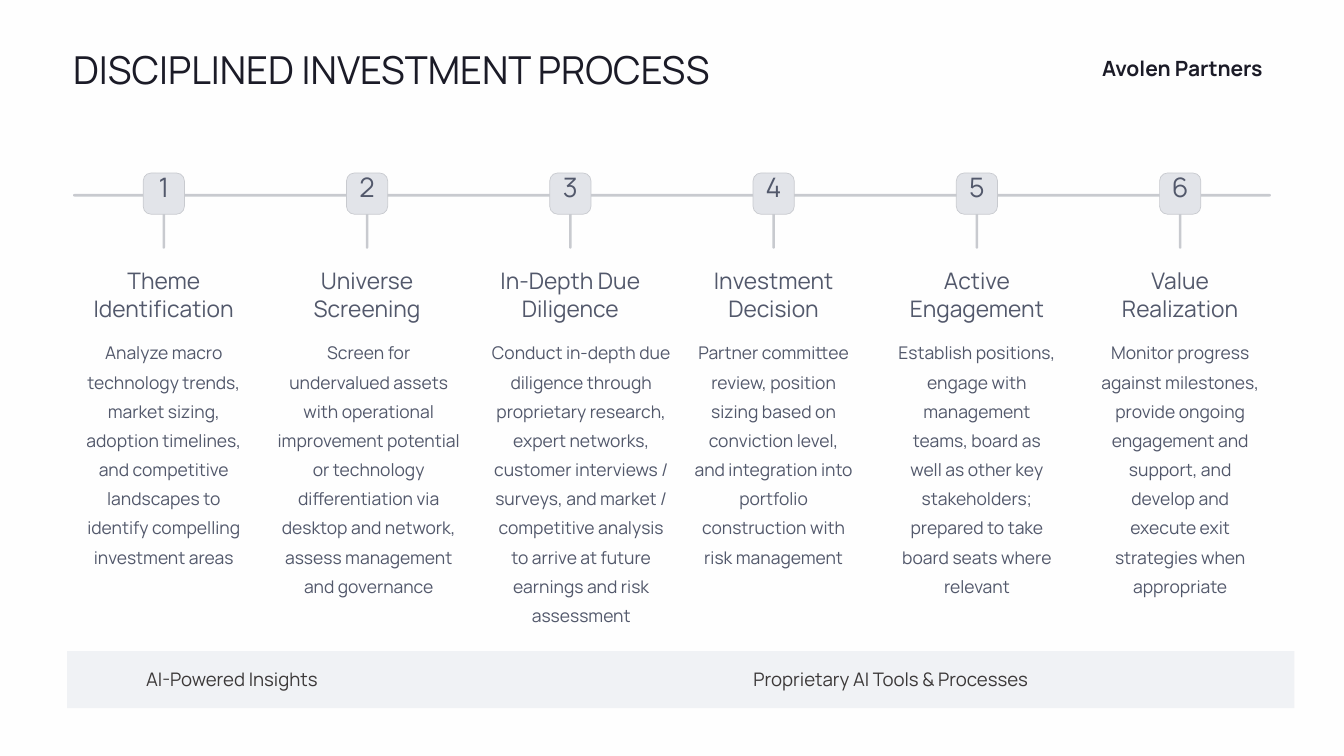
"""Builds the six-step investment process slide."""
import pptx
import pptx.dml.color
import pptx.enum.shapes
import pptx.enum.text
import pptx.util
from dataclasses import dataclass

TITLE = "DISCIPLINED INVESTMENT PROCESS"
FIRM = "Avolen Partners"
STEPS = [
    ("Theme Identification",
     "Analyze macro technology trends, market sizing, adoption timelines, and competitive "
     "landscapes to identify compelling investment areas", 1.89, 0),
    ("Universe Screening",
     "Screen for undervalued assets with operational improvement potential or technology "
     "differentiation via desktop and network, assess management and governance", 2.21, 0.02),
    ("In-Depth Due Diligence",
     "Conduct in-depth due diligence through proprietary research, expert networks, customer "
     "interviews / surveys, and market / competitive analysis to arrive at future earnings "
     "and risk assessment", 2.16, 0.13),
    ("Investment Decision",
     "Partner committee review, position sizing based on conviction level, and integration "
     "into portfolio construction with risk management", 1.89, 0),
    ("Active Engagement",
     "Establish positions, engage with management teams, board as well as other key "
     "stakeholders; prepared to take board seats where relevant", 1.89, 0),
    ("Value Realization",
     "Monitor progress against milestones, provide ongoing engagement and support, and "
     "develop and execute exit strategies when appropriate", 1.89, 0),
]
FOOTER = [("AI-Powered Insights", 1.74), ("Proprietary AI Tools & Processes", 8.97)]


@dataclass(frozen=True)
class Theme:
    """Font, colours and type sizes as (size, line height) in points."""
    font: str = "Manrope"
    background: str = "FEFEFE"
    ink: str = "1B1B27"
    muted: str = "52586B"
    footer_ink: str = "3C3939"
    rule: str = "C8CACF"
    badge: str = "E2E4E9"
    band: str = "F0F2F5"
    title: tuple = (33, 34)
    firm: tuple = (18, None)
    number: tuple = (23, 23)
    heading: tuple = (19.5, 24)
    body: tuple = (15, 25)
    footer: tuple = (16, 18)


THEME = Theme()
Inches = pptx.util.Inches
SHAPES = pptx.enum.shapes.MSO_SHAPE
ALIGN = pptx.enum.text.PP_ALIGN

FIRST_CENTER, STEP_PITCH = 1.95, 2.42
RULE_TOP, RULE_WIDTH, STEM_HEIGHT = 2.31, 0.03, 0.65
BADGE_TOP, BADGE_SIZE = 2.06, 0.49
HEADING_WIDTH = 1.72


def color(value):
    return pptx.dml.color.RGBColor.from_string(value)


def add_box(slide, kind, left, top, width, height, fill, line=None, corner=None):
    shape = slide.shapes.add_shape(
        kind, Inches(left), Inches(top), Inches(width), Inches(height))
    shape.shadow.inherit = False
    shape.fill.solid()
    shape.fill.fore_color.rgb = color(fill)
    if line:
        shape.line.color.rgb = color(line)
        shape.line.width = pptx.util.Pt(0.6)
    else:
        shape.line.fill.background()
    if corner is not None:
        shape.adjustments[0] = corner


def add_text(slide, text, left, top, width, height, style, ink,
             align=ALIGN.LEFT, bold=False, inset=(0, 0)):
    box = slide.shapes.add_textbox(Inches(left), Inches(top), Inches(width), Inches(height))
    frame = box.text_frame
    frame.word_wrap = True
    frame.margin_left = frame.margin_right = Inches(inset[0])
    frame.margin_top = frame.margin_bottom = Inches(inset[1])
    paragraph = frame.paragraphs[0]
    paragraph.alignment = align
    size, line_height = style
    if line_height:
        paragraph.line_spacing = pptx.util.Pt(line_height)
    run = paragraph.add_run()
    run.text = text
    run.font.name = THEME.font
    run.font.size = pptx.util.Pt(size)
    run.font.bold = bold
    run.font.color.rgb = color(ink)


def add_step(slide, index, heading, body, body_width, body_shift):
    center = FIRST_CENTER + index * STEP_PITCH
    add_box(slide, SHAPES.ROUNDED_RECTANGLE, center - RULE_WIDTH / 2, RULE_TOP,
            RULE_WIDTH, STEM_HEIGHT, THEME.rule, corner=0.5)
    add_box(slide, SHAPES.ROUNDED_RECTANGLE, center - BADGE_SIZE / 2, BADGE_TOP,
            BADGE_SIZE, BADGE_SIZE, THEME.badge, THEME.rule, 0.19)
    texts = [
        (str(index + 1), center, 2.1, 0.33, 0.41, THEME.number),
        (heading, center, 3.17, HEADING_WIDTH, 0.68, THEME.heading),
        (body, center + body_shift, 3.98, body_width, 3.47, THEME.body),
    ]
    for text, middle, top, width, height, style in texts:
        add_text(slide, text, middle - width / 2, top, width, height, style,
                 THEME.muted, ALIGN.CENTER)


def main():
    presentation = pptx.Presentation()
    presentation.slide_width, presentation.slide_height = Inches(16), Inches(9)
    slide = presentation.slides.add_slide(presentation.slide_layouts[6])
    slide.background.fill.solid()
    slide.background.fill.fore_color.rgb = color(THEME.background)

    add_text(slide, FIRM, 11.83, 0.61, 3.3, 0.4, THEME.firm, THEME.ink,
             ALIGN.RIGHT, bold=True, inset=(0.1, 0.05))
    add_box(slide, SHAPES.ROUNDED_RECTANGLE, 0.87, RULE_TOP, 14.26, RULE_WIDTH,
            THEME.rule, corner=0.5)
    for index, step in enumerate(STEPS):
        add_step(slide, index, *step)

    add_box(slide, SHAPES.RECTANGLE, 0.8, 7.75, 14.61, 0.68, THEME.band)
    for text, left in FOOTER:
        add_text(slide, text, left, 7.97, 4, 0.25, THEME.footer, THEME.footer_ink)
    add_text(slide, TITLE, 0.87, 0.63, 9, 0.47, THEME.title, THEME.ink)
    presentation.save("out.pptx")


if __name__ == "__main__":
    main()
